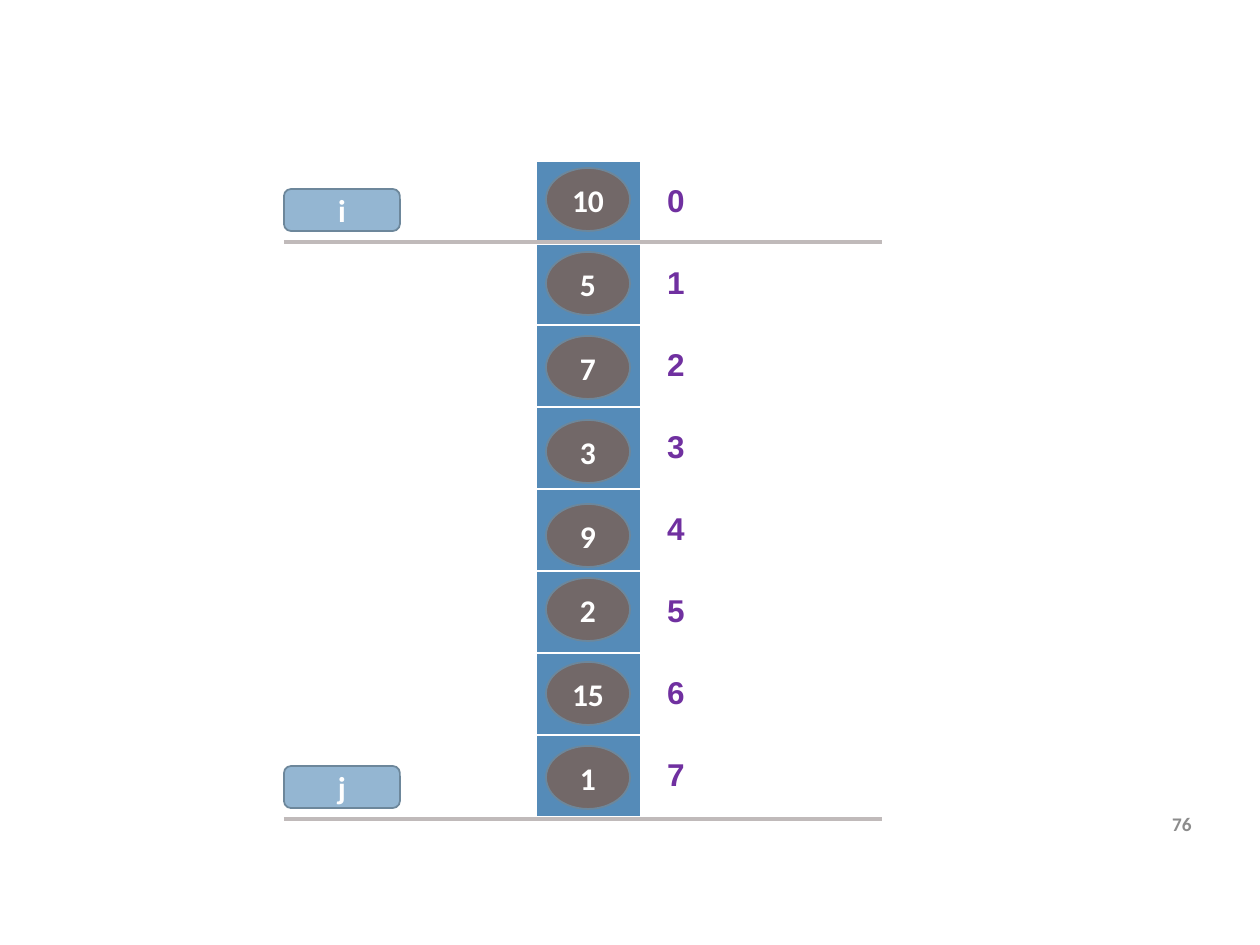
"""Build the slide that shows an array of eight values with its i and j pointers."""
from typing import NamedTuple

from lxml.etree import SubElement
from pptx import Presentation
from pptx.dml.color import RGBColor
from pptx.enum.shapes import MSO_CONNECTOR as Connector, MSO_SHAPE as Shape
from pptx.enum.text import MSO_ANCHOR as Anchor, PP_ALIGN as Align
from pptx.oxml.ns import qn
from pptx.util import Emu, Pt

EMU_PER_PX = 914400 / 126

WHITE = RGBColor(0xFF, 0xFF, 0xFF)
CELL_BLUE = RGBColor(0x55, 0x8B, 0xB8)
INDEX_PURPLE = RGBColor(0x70, 0x30, 0xA0)
VALUE_BROWN = RGBColor(0x72, 0x68, 0x68)
POINTER_BLUE = RGBColor(0x94, 0xB6, 0xD2)
OUTLINE = RGBColor(0x6D, 0x87, 0x9B)
RULE_GREY = RGBColor(0xC0, 0xBA, 0xBA)
PAGE_GREY = RGBColor(0x8C, 0x8C, 0x8C)

VALUES = [10, 5, 7, 3, 9, 2, 15, 1]
CELL_WIDTH, INDEX_WIDTH, ROW_HEIGHT = 105, 70, 82
VALUE_TOP, VALUE_STEP = 168, 84
LOWER_START, LOWER_SHIFT = 5, 10


class Box(NamedTuple):
    left: int
    top: int
    width: int
    height: int


class Pointer(NamedTuple):
    name: str
    top: int


POINTERS = [Pointer("i", 189), Pointer("j", 766)]


def px(length: int) -> Emu:
    return Emu(round(length * EMU_PER_PX))


def emu(box: Box) -> list[Emu]:
    return [px(length) for length in box]


def write(frame, text: str, size: int, color: RGBColor, align=Align.CENTER, face="Calibri") -> None:
    line = frame.paragraphs[0]
    line.text = text
    line.alignment = align
    line.font.name = face
    line.font.size = Pt(size)
    line.font.bold = True
    line.font.color.rgb = color


def draw_label(shapes, kind: Shape, box: Box, fill: RGBColor, text: str) -> None:
    label = shapes.add_shape(kind, *emu(box))
    label.shadow.inherit = False
    label.fill.solid()
    label.fill.fore_color.rgb = fill
    label.line.color.rgb = OUTLINE
    label.line.width = Pt(1)
    label.text_frame.word_wrap = False
    label.text_frame.vertical_anchor = Anchor.MIDDLE
    write(label.text_frame, text, 18, WHITE)


def draw_border(cell, side: str, points: int) -> None:
    border = SubElement(cell._tc.get_or_add_tcPr(), qn(f"a:ln{side}"), w=str(Pt(points)))
    SubElement(SubElement(border, qn("a:solidFill")), qn("a:srgbClr"), val=str(WHITE))


def draw_array(shapes) -> None:
    count = len(VALUES)
    box = Box(536, 161, CELL_WIDTH + INDEX_WIDTH, ROW_HEIGHT * count)
    array = shapes.add_table(count, 2, *emu(box)).table
    array.first_row = array.horz_banding = False
    array.columns[0].width = px(CELL_WIDTH)
    array.columns[1].width = px(INDEX_WIDTH)
    for index, row in enumerate(array.rows):
        row.height = px(ROW_HEIGHT)
        widths = {"L": 1, "R": 1, "T": 3 if index == 1 else 1, "B": 3 if index == 0 else 1}
        for cell in row.cells:
            for side, points in widths.items():
                draw_border(cell, side, points)
        slot, number = row.cells
        slot.fill.solid()
        slot.fill.fore_color.rgb = CELL_BLUE
        number.fill.background()
        number.vertical_anchor = Anchor.MIDDLE
        write(number.text_frame, str(index), 18, INDEX_PURPLE, face="Arial")


def draw_values(shapes) -> None:
    for index, value in enumerate(VALUES):
        shift = LOWER_SHIFT if index >= LOWER_START else 0
        box = Box(546, VALUE_TOP + VALUE_STEP * index - shift, 84, 63)
        draw_label(shapes, Shape.OVAL, box, VALUE_BROWN, str(value))


def draw_pointer(shapes, pointer: Pointer) -> None:
    group = shapes.add_group_shape().shapes
    level = px(pointer.top + 53)
    rule = group.add_connector(Connector.STRAIGHT, px(284), level, px(882), level)
    rule.line.color.rgb = RULE_GREY
    rule.line.width = Pt(2.25)
    SubElement(rule._element.spPr, qn("a:effectLst"))
    box = Box(284, pointer.top, 116, 42)
    draw_label(group, Shape.ROUNDED_RECTANGLE, box, POINTER_BLUE, pointer.name)


def draw_page_number(shapes) -> None:
    frame = shapes.add_textbox(*emu(Box(1120, 788, 84, 72))).text_frame
    frame.word_wrap = True
    frame.vertical_anchor = Anchor.MIDDLE
    write(frame, "76", 11, PAGE_GREY, Align.RIGHT)


def main() -> None:
    deck = Presentation()
    deck.slide_width, deck.slide_height = px(1260), px(945)
    shapes = deck.slides.add_slide(deck.slide_layouts[6]).shapes
    draw_array(shapes)
    draw_page_number(shapes)
    draw_values(shapes)
    for pointer in POINTERS:
        draw_pointer(shapes, pointer)
    deck.save("out.pptx")


if __name__ == "__main__":
    main()
